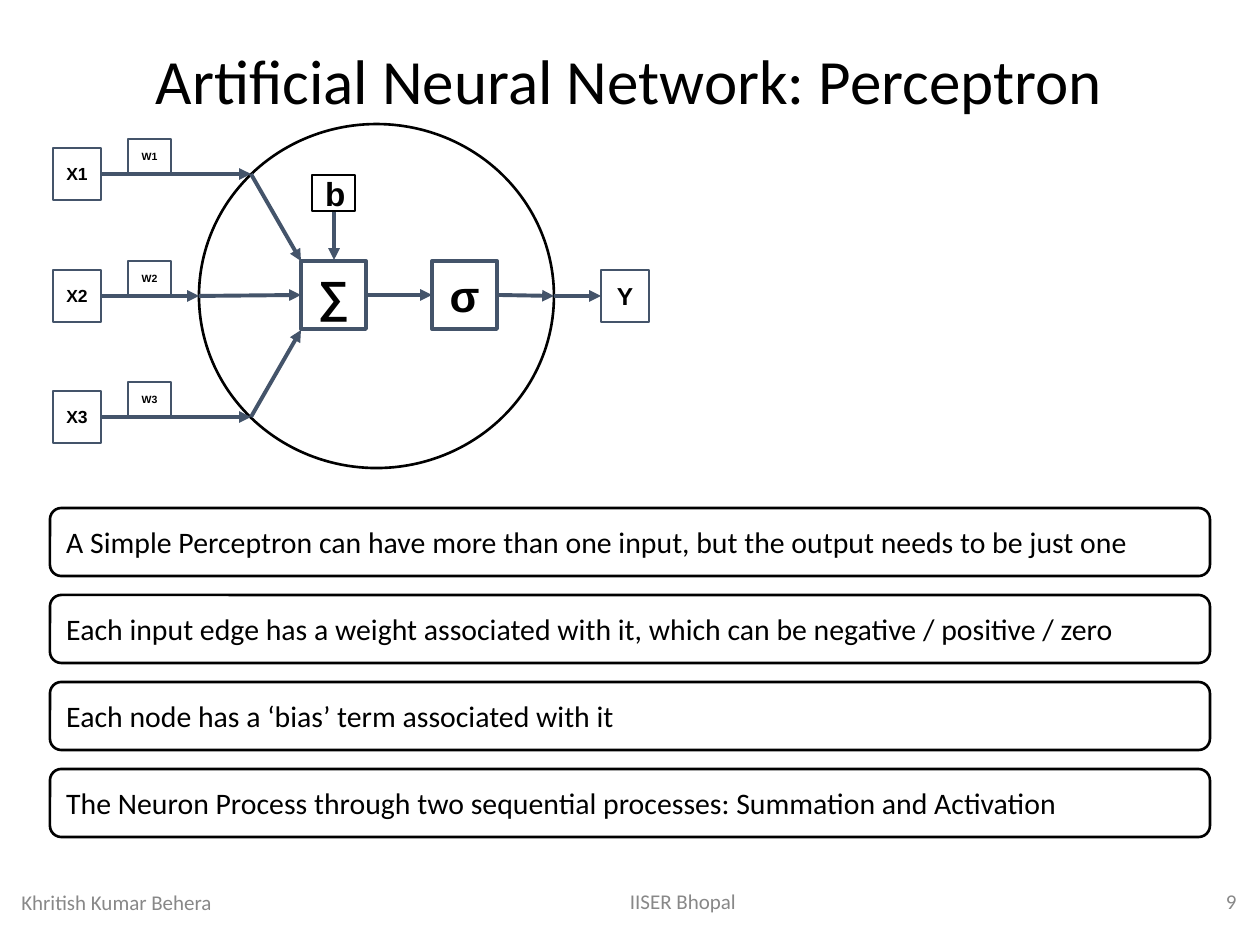
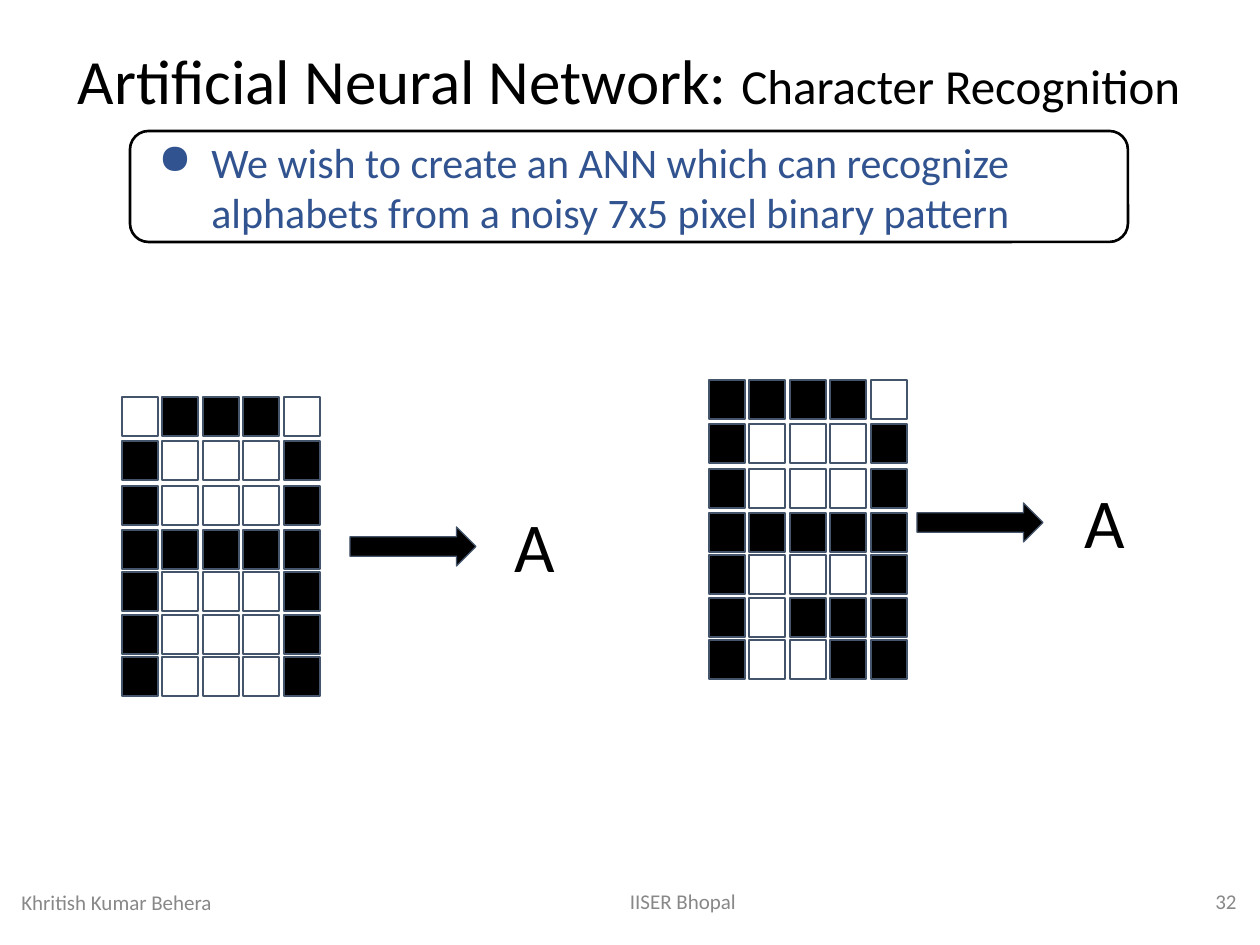
"""Build two slides on artificial neural networks: the perceptron and character recognition."""
from dataclasses import dataclass
from typing import NamedTuple, Optional

import lxml.etree
import pptx
import pptx.dml.color
import pptx.enum.shapes
import pptx.enum.text
import pptx.oxml.ns
import pptx.util
from pptx.dml.color import RGBColor
from pptx.enum.shapes import MSO_SHAPE
from pptx.enum.text import MSO_ANCHOR, PP_ALIGN

PIXELS_PER_INCH = 126
BLACK = RGBColor(0x00, 0x00, 0x00)
WHITE = RGBColor(0xFF, 0xFF, 0xFF)
SLATE = RGBColor(0x44, 0x54, 0x6A)
BLUE = RGBColor(0x31, 0x53, 0x8F)
GREY = RGBColor(0x88, 0x88, 0x88)
BODY_FONT = "Calibri"
NODE_FONT = "Arial"
TITLE_START = "Artificial Neural Network: "

INPUT_CENTRES = (174, 296, 417)
CIRCLE_ENTRIES = (251, 199, 251)
SUM_ENTRIES = (261, 295, 330)
STATEMENTS = (
    "A Simple Perceptron can have more than one input, but the output needs to be just one",
    "Each input edge has a weight associated with it, which can be negative / positive / zero",
    "Each node has a ‘bias’ term associated with it",
    "The Neuron Process through two sequential processes: Summation and Activation",
)
ROW_OFFSETS = (0, 44, 89, 133, 175, 218, 260)
CLEAN_LETTER = (".###.", "#...#", "#...#", "#####", "#...#", "#...#", "#...#")
NOISY_LETTER = ("####.", "#...#", "#...#", "#####", "#...#", "#.###", "#..##")


class Box(NamedTuple):
    """A rectangle in px."""
    left: int
    top: int
    width: int
    height: int


class Wire(NamedTuple):
    """An arrow from one point to another, in px."""
    start: tuple[int, int]
    end: tuple[int, int]


@dataclass(frozen=True)
class TextStyle:
    """The look of a paragraph."""
    size: int
    color: RGBColor = BLACK
    font: str = BODY_FONT
    bold: bool = False
    align: PP_ALIGN = PP_ALIGN.LEFT


@dataclass(frozen=True)
class Node:
    """A labelled square of the perceptron."""
    label: str
    box: Box
    size: int
    line: RGBColor = SLATE
    line_width: float = 1.5


@dataclass(frozen=True)
class Pattern:
    """A pixel letter with the arrow and the answer beside it."""
    rows: tuple[str, ...]
    left: int
    top: int
    arrow: Box
    answer: Box


FOOTER_PARTS = (
    ("Khritish Kumar Behera", Box(9, 877, 426, 50), PP_ALIGN.LEFT),
    ("IISER Bhopal", Box(470, 876, 426, 50), PP_ALIGN.CENTER),
)
NUMBER_BOX = Box(965, 876, 284, 50)
TITLE_BOX = Box(9, 35, 1240, 89)
NODES = (
    Node("∑", Box(301, 261, 65, 68), 25, line_width=2.25),
    Node("σ", Box(432, 261, 65, 68), 25, line_width=2.25),
    Node("b", Box(312, 175, 43, 36), 19, line=BLACK),
    Node("Y", Box(601, 270, 48, 52), 14),
)
WIRES = (
    Wire((366, 295), (432, 295)),
    Wire((334, 212), (334, 260)),
    Wire((498, 295), (554, 296)),
    Wire((554, 296), (601, 296)),
)
PATTERNS = (
    Pattern(CLEAN_LETTER, 122, 397, Box(350, 527, 126, 39), Box(483, 490, 103, 111)),
    Pattern(NOISY_LETTER, 709, 380, Box(917, 503, 126, 39), Box(1053, 466, 103, 111)),
)


def px(length: int) -> int:
    """Turn px into EMU."""
    return round(length * pptx.util.Inches(1) / PIXELS_PER_INCH)


def emu(box: Box) -> list[int]:
    """Turn a box into EMU lengths."""
    return [px(length) for length in box]


def style_paragraph(paragraph, style: TextStyle) -> None:
    """Apply a text style to a whole paragraph."""
    paragraph.alignment = style.align
    font = paragraph.font
    font.name, font.bold = style.font, style.bold
    font.size = pptx.util.Pt(style.size)
    font.color.rgb = style.color


def write(shape, text: str, style: TextStyle, anchor: MSO_ANCHOR, inset: Optional[int] = None):
    """Put one paragraph into a shape and return it."""
    frame = shape.text_frame
    frame.word_wrap = True
    frame.vertical_anchor = anchor
    if inset is not None:
        frame.margin_left = frame.margin_right = px(inset)
        frame.margin_top = frame.margin_bottom = px(inset)
    paragraph = frame.paragraphs[0]
    paragraph.add_run().text = text
    style_paragraph(paragraph, style)
    return paragraph


def add_label(slide, text: str, box: Box, style: TextStyle, anchor=MSO_ANCHOR.MIDDLE) -> None:
    """Add a text box."""
    write(slide.shapes.add_textbox(*emu(box)), text, style, anchor)


def add_outline(slide, kind: MSO_SHAPE, box: Box, line: RGBColor, line_width: float,
                fill: Optional[RGBColor] = None):
    """Add a preset shape with an outline and an optional fill."""
    shape = slide.shapes.add_shape(kind, *emu(box))
    shape.shadow.inherit = False
    shape.line.color.rgb = line
    shape.line.width = pptx.util.Pt(line_width)
    if fill is None:
        shape.fill.background()
    else:
        shape.fill.solid()
        shape.fill.fore_color.rgb = fill
    return shape


def add_panel(slide, text: str, box: Box, style: TextStyle):
    """Add a rounded text panel and return its paragraph."""
    panel = add_outline(slide, MSO_SHAPE.ROUNDED_RECTANGLE, box, BLACK, 1.5, WHITE)
    return write(panel, text, style, MSO_ANCHOR.MIDDLE, 13)


def add_node(slide, node: Node) -> None:
    """Add a labelled square."""
    shape = add_outline(slide, MSO_SHAPE.RECTANGLE, node.box, node.line, node.line_width)
    style = TextStyle(node.size, font=NODE_FONT, bold=True, align=PP_ALIGN.CENTER)
    write(shape, node.label, style, MSO_ANCHOR.MIDDLE, 13)


def add_wire(slide, wire: Wire) -> None:
    """Add a straight arrow."""
    connector = slide.shapes.add_connector(
        pptx.enum.shapes.MSO_CONNECTOR.STRAIGHT, *map(px, wire.start + wire.end))
    connector.line.color.rgb = SLATE
    connector.line.width = pptx.util.Pt(2.25)
    qualified = pptx.oxml.ns.qn
    line = connector.line._get_or_add_ln()
    lxml.etree.SubElement(line, qualified("a:tailEnd"), type="triangle")
    lxml.etree.SubElement(connector._element.spPr, qualified("a:effectLst"))


def add_bullet(paragraph, character: str, color: RGBColor) -> None:
    """Give a paragraph a hanging bullet."""
    qualified = pptx.oxml.ns.qn
    properties = paragraph._p.get_or_add_pPr()
    properties.set("marL", str(px(63)))
    properties.set("indent", str(px(-53)))
    bullet_color = lxml.etree.Element(qualified("a:buClr"))
    lxml.etree.SubElement(bullet_color, qualified("a:srgbClr"), val=str(color))
    bullet = lxml.etree.Element(qualified("a:buChar"), char=character)
    properties.insert(0, bullet_color)
    properties.insert(1, bullet)


def add_framed_slide(presentation, topic: str, topic_size: int, number: int):
    """Add a slide with the shared title and footer."""
    slide = presentation.slides.add_slide(presentation.slide_layouts[5])
    title = slide.shapes.title
    title.left, title.top, title.width, title.height = emu(TITLE_BOX)
    title.text_frame.auto_size = pptx.enum.text.MSO_AUTO_SIZE.NONE
    paragraph = write(title, TITLE_START, TextStyle(36, align=PP_ALIGN.CENTER), MSO_ANCHOR.TOP)
    run = paragraph.add_run()
    run.text = topic
    run.font.size = pptx.util.Pt(topic_size)
    for text, box, align in FOOTER_PARTS + ((str(number), NUMBER_BOX, PP_ALIGN.RIGHT),):
        add_label(slide, text, box, TextStyle(12, GREY, align=align))
    return slide


def build_perceptron(presentation) -> None:
    """Build the perceptron diagram and its statements."""
    slide = add_framed_slide(presentation, "Perceptron", 36, 9)
    add_outline(slide, MSO_SHAPE.OVAL, Box(199, 124, 355, 344), BLACK, 1.5, WHITE)
    inputs = zip(INPUT_CENTRES, CIRCLE_ENTRIES, SUM_ENTRIES)
    for index, (centre, entry, sum_entry) in enumerate(inputs, start=1):
        add_node(slide, Node(f"X{index}", Box(53, centre - 26, 48, 52), 10))
        add_node(slide, Node(f"W{index}", Box(128, centre - 35, 43, 35), 6))
        add_wire(slide, Wire((101, centre), (entry, centre)))
        add_wire(slide, Wire((entry, centre), (301, sum_entry)))
    for node in NODES:
        add_node(slide, node)
    for wire in WIRES:
        add_wire(slide, wire)
    for index, statement in enumerate(STATEMENTS):
        add_panel(slide, statement, Box(50, 508 + 87 * index, 1160, 68), TextStyle(17))


def add_pattern(slide, pattern: Pattern) -> None:
    """Add a pixel letter, its arrow and its answer."""
    for row, offset in zip(pattern.rows, ROW_OFFSETS):
        for column, pixel in enumerate(row):
            cell = Box(pattern.left + column * 81 // 2, pattern.top + offset, 36, 39)
            fill = BLACK if pixel == "#" else WHITE
            add_outline(slide, MSO_SHAPE.RECTANGLE, cell, SLATE, 0.75, fill)
    add_outline(slide, MSO_SHAPE.RIGHT_ARROW, pattern.arrow, SLATE, 0.75, BLACK)
    answer = slide.shapes.add_textbox(*emu(pattern.answer))
    write(answer, "A", TextStyle(40, align=PP_ALIGN.CENTER), MSO_ANCHOR.TOP, 13)


def build_character_recognition(presentation) -> None:
    """Build the aim and the two letter patterns."""
    slide = add_framed_slide(presentation, "Character Recognition", 28, 32)
    aim = "We wish to create an ANN which can recognize alphabets from a noisy 7x5 pixel binary pattern"
    paragraph = add_panel(slide, aim, Box(130, 131, 998, 111), TextStyle(24, BLUE))
    add_bullet(paragraph, "●", BLUE)
    for pattern in PATTERNS:
        add_pattern(slide, pattern)


def main() -> None:
    """Build and save the presentation."""
    presentation = pptx.Presentation()
    presentation.slide_width = px(1260)
    presentation.slide_height = px(945)
    build_perceptron(presentation)
    build_character_recognition(presentation)
    presentation.save("out.pptx")


if __name__ == "__main__":
    main()
